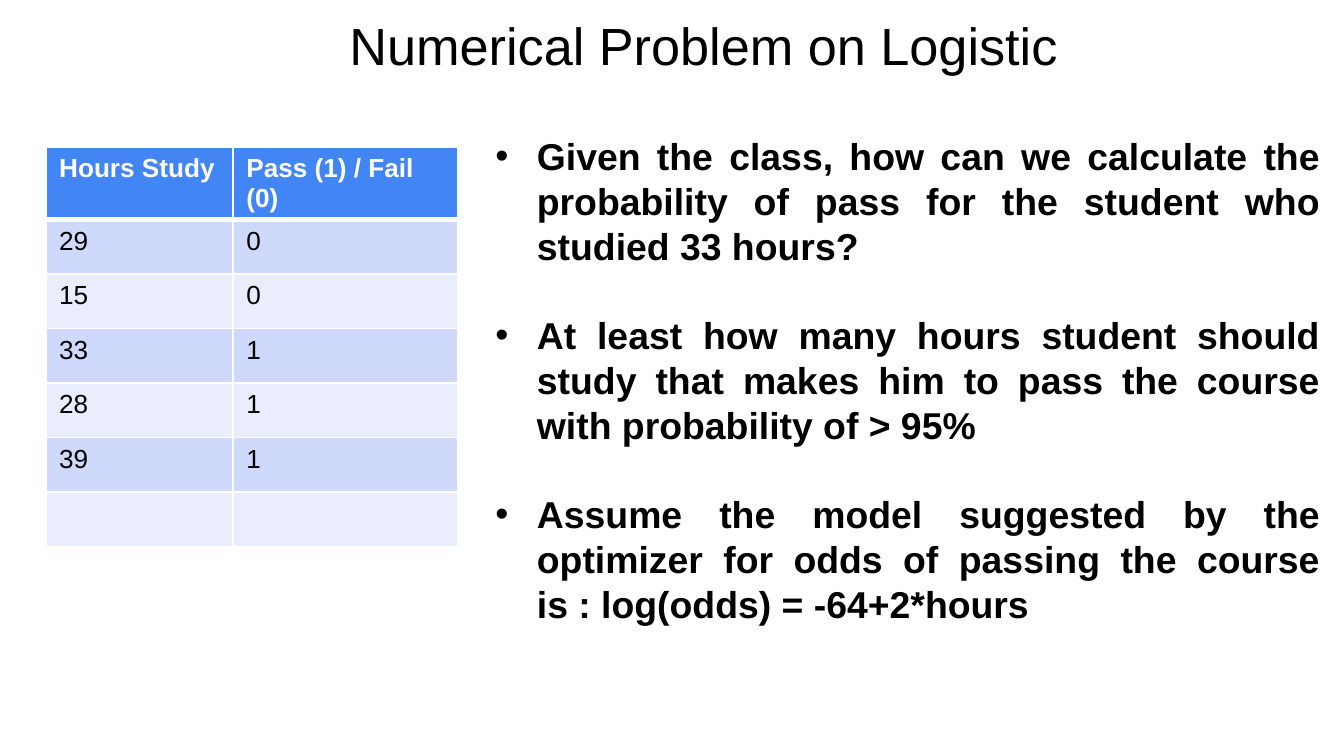
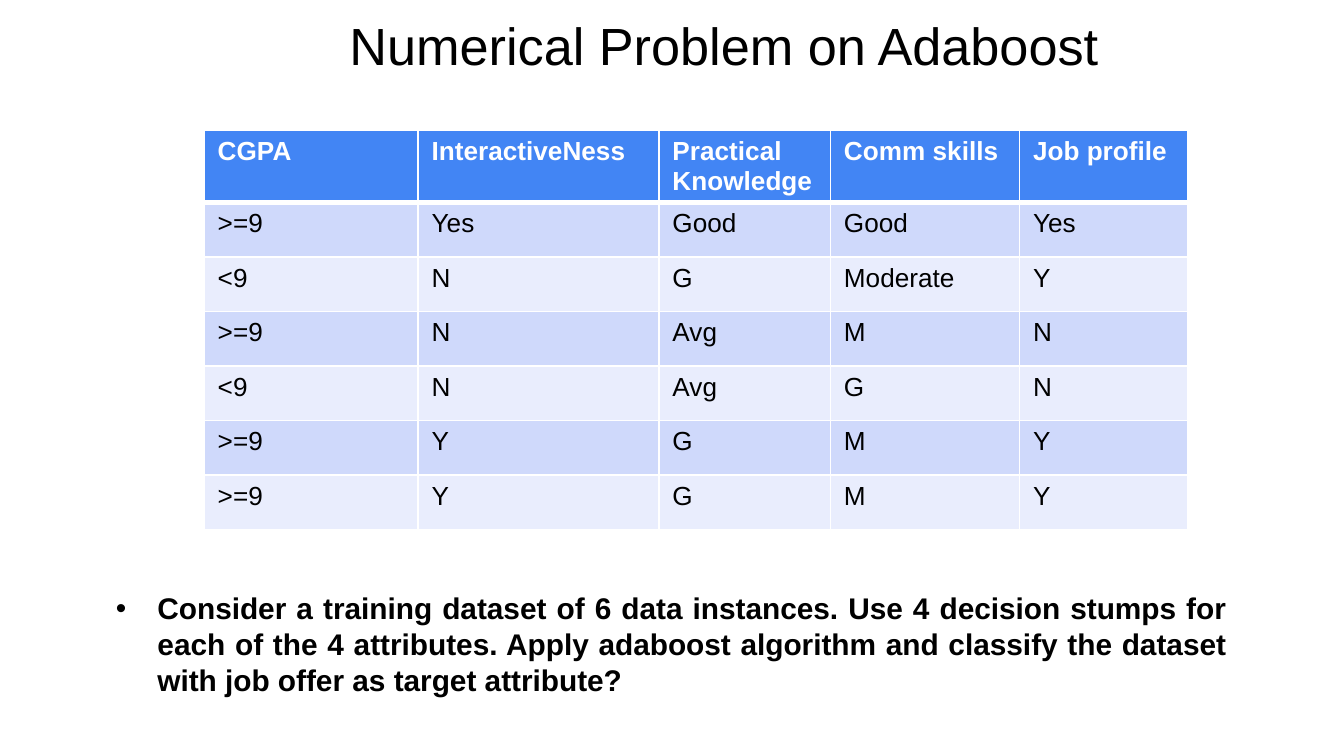
from dataclasses import dataclass

from pptx import Presentation
from pptx.dml.color import RGBColor
from pptx.enum.text import MSO_ANCHOR, MSO_AUTO_SIZE, PP_ALIGN
from pptx.oxml.ns import qn
from pptx.util import Inches, Pt
from lxml import etree

LEFT, JUST = PP_ALIGN.LEFT, PP_ALIGN.JUSTIFY
TOP = MSO_ANCHOR.TOP
FIXED, GROW = MSO_AUTO_SIZE.NONE, MSO_AUTO_SIZE.SHAPE_TO_FIT_TEXT

# Shared look; the slide is a grid of 100 columns by 100 rows
FONT = "Arial"
BLACK, WHITE, BLUE = "000000", "FFFFFF", "4285F4"
BANDS = ("CFD9FB", "E9EDFD")
WIDTH = Inches(10)
HEIGHT = WIDTH * 9 // 16
COL, ROW = WIDTH / 100, HEIGHT / 100
HEAD_ROWS, BODY_ROWS = 8, 7.21
HANG = Inches(0.31)
THIN, THICK = 1, 3


@dataclass(frozen=True)
class Box:
    x: float
    y: float
    w: float
    h: float

    def place(self) -> tuple[int, int, int, int]:
        return (round(self.x * COL), round(self.y * ROW),
                round(self.w * COL), round(self.h * ROW))


@dataclass(frozen=True)
class Grid:
    box: Box
    cols: tuple[float, ...]
    rows: tuple[tuple[str, ...], ...]


@dataclass(frozen=True)
class Page:
    title: str
    grid: Grid
    box: Box
    points: tuple[str, ...]
    size: int


TITLE = Box(25, 0, 70.8, 13.33)

PAGES = (
    Page(
        "Numerical Problem on Logistic",
        Grid(Box(3.4, 19.5, 30.6, 53.33), (13.93, 16.72), (
            ("Hours Study", "Pass (1) / Fail (0)"),
            ("29", "0"),
            ("15", "0"),
            ("33", "1"),
            ("28", "1"),
            ("39", "1"),
            ("", ""),
        )),
        Box(35.85, 16.71, 63.4, 67.56),
        (
            "Given the class, how can we calculate the probability of pass "
            "for the student who studied 33 hours?",
            "At least how many hours student should study that makes him to "
            "pass the course with probability of > 95%",
            "Assume the model suggested by the optimizer for odds of passing "
            "the course is : log(odds) = -64+2*hours",
        ),
        20,
    ),
    Page(
        "Numerical Problem on Adaboost",
        Grid(Box(15.2, 17.24, 73.2, 53.33), (15.92, 17.92, 12.76, 14.07, 12.55), (
            ("CGPA", "InteractiveNess", "Practical Knowledge", "Comm skills",
             "Job profile"),
            (">=9", "Yes", "Good", "Good", "Yes"),
            ("<9", "N", "G", "Moderate", "Y"),
            (">=9", "N", "Avg", "M", "N"),
            ("<9", "N", "Avg", "G", "N"),
            (">=9", "Y", "G", "M", "Y"),
            (">=9", "Y", "G", "M", "Y"),
        )),
        Box(7.62, 77.16, 84.7, 16.18),
        (
            "Consider a training dataset of 6 data instances. Use 4 decision "
            "stumps for each of the 4 attributes. Apply adaboost algorithm "
            "and classify the dataset with job offer as target attribute?",
        ),
        16,
    ),
)


def tint(code: str) -> RGBColor:
    return RGBColor.from_string(code)


def add_dot(para, code: str) -> None:
    """Give a paragraph a hanging round bullet."""
    props = para._p.get_or_add_pPr()
    props.set("marL", str(HANG))
    props.set("indent", str(-HANG))
    hue = etree.SubElement(props, qn("a:buClr"))
    etree.SubElement(hue, qn("a:srgbClr"), val=code)
    etree.SubElement(props, qn("a:buFont"), typeface=FONT)
    etree.SubElement(props, qn("a:buChar"), char="•")


def put_text(frame, *lines: str, size: int, code: str = BLACK,
             bold: bool = False, align=LEFT, dots: bool = False,
             gap: float = 0) -> None:
    """Write one paragraph per line, with the given space between them."""
    for i, line in enumerate(lines):
        para = frame.paragraphs[0] if i == 0 else frame.add_paragraph()
        if line:
            para.add_run().text = line
        if dots:
            add_dot(para, BLACK)
        para.alignment = align
        para.space_before = Pt(gap if i else 0)
        for font in (para.font, *(run.font for run in para.runs)):
            font.name, font.size, font.bold = FONT, Pt(size), bold
            font.color.rgb = tint(code)


def set_frame(shape, box: Box, fit, pad: float) -> None:
    shape.left, shape.top, shape.width, shape.height = box.place()
    frame = shape.text_frame
    frame.word_wrap = True
    frame.auto_size = fit
    frame.vertical_anchor = TOP
    frame.margin_left = frame.margin_right = Inches(0.1)
    frame.margin_top = frame.margin_bottom = Inches(pad)


def rule_cell(cell, top: float, base: float) -> None:
    """Draw white rules on all four sides of a cell."""
    props = cell._tc.get_or_add_tcPr()
    for side, width in zip("LRTB", (THIN, THIN, top, base)):
        line = etree.SubElement(props, qn(f"a:ln{side}"), w=str(Pt(width)))
        fill = etree.SubElement(line, qn("a:solidFill"))
        etree.SubElement(fill, qn("a:srgbClr"), val=WHITE)


def draw_grid(slide, grid: Grid) -> None:
    table = slide.shapes.add_table(
        len(grid.rows), len(grid.cols), *grid.box.place()).table
    for col, width in zip(table.columns, grid.cols):
        col.width = round(width * COL)
    for r, words in enumerate(grid.rows):
        head = r == 0
        table.rows[r].height = round((HEAD_ROWS if head else BODY_ROWS) * ROW)
        for c, word in enumerate(words):
            cell = table.cell(r, c)
            cell.margin_bottom = Inches(0.02)
            rule_cell(cell, THICK if r == 1 else THIN, THICK if head else THIN)
            cell.fill.solid()
            cell.fill.fore_color.rgb = tint(BLUE if head else BANDS[(r - 1) % 2])
            put_text(cell.text_frame, word, size=14, bold=head,
                     code=WHITE if head else BLACK)


def draw_page(deck, page: Page) -> None:
    slide = deck.slides.add_slide(deck.slide_layouts[1])
    # Title
    head = slide.shapes.title
    set_frame(head, TITLE, FIXED, 0.1)
    put_text(head.text_frame, page.title, size=28)
    # Data table
    draw_grid(slide, page.grid)
    # Questions, one blank line apart
    body = slide.placeholders[1]
    set_frame(body, page.box, GROW, 0.05)
    put_text(body.text_frame, *page.points, size=page.size, bold=True,
             align=JUST, dots=True, gap=page.size * 1.2)


def main() -> None:
    deck = Presentation()
    deck.slide_width, deck.slide_height = WIDTH, HEIGHT
    for page in PAGES:
        draw_page(deck, page)
    deck.save("out.pptx")


if __name__ == "__main__":
    main()
